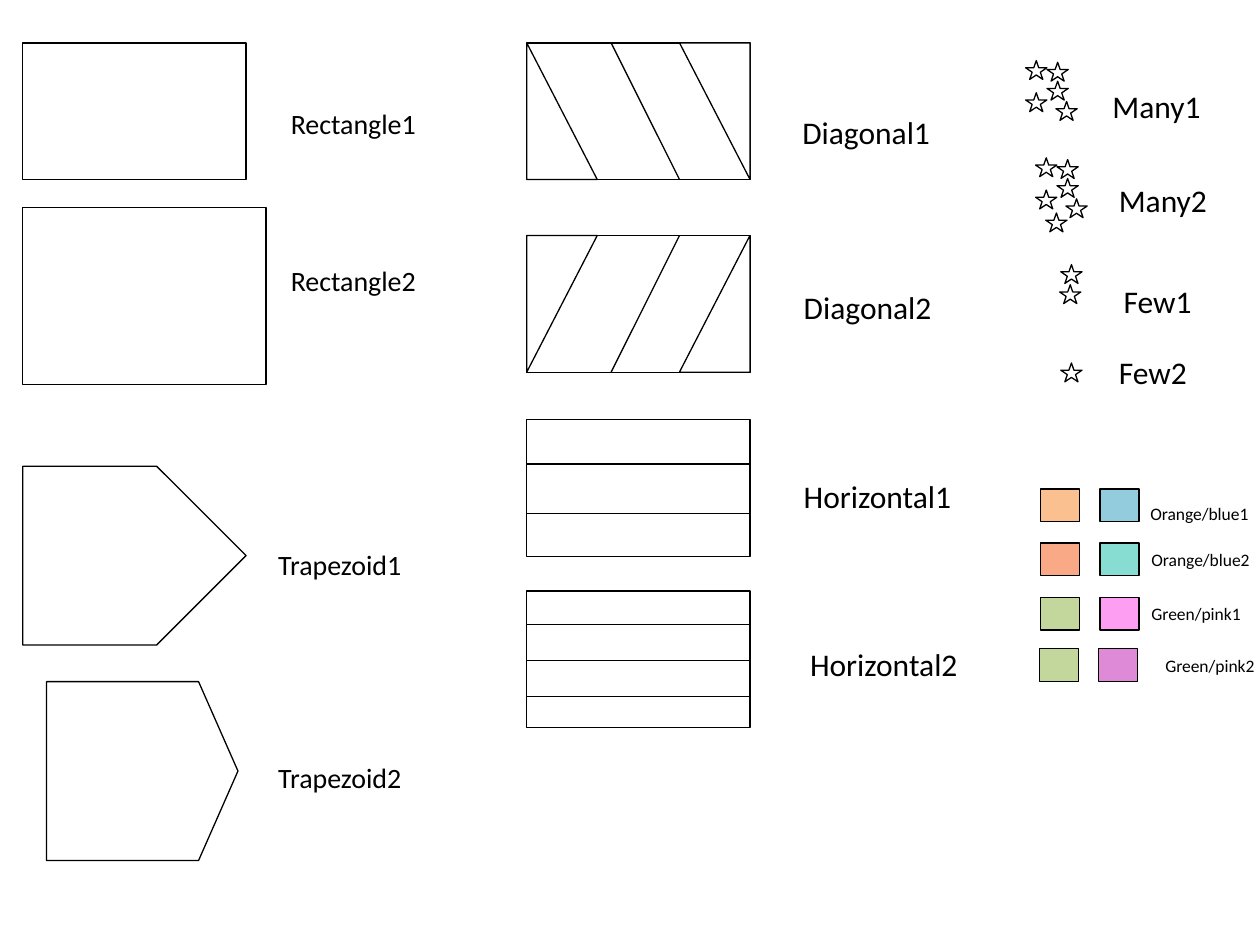
from typing import NamedTuple

from lxml.etree import SubElement
from pptx import Presentation
from pptx.dml.color import RGBColor
from pptx.enum.shapes import MSO_CONNECTOR, MSO_SHAPE
from pptx.enum.text import MSO_AUTO_SIZE
from pptx.oxml.ns import qn
from pptx.util import Pt


class Box(NamedTuple):
    left: float
    top: float
    width: float
    height: float


class Label(NamedTuple):
    text: str
    left: float
    top: float
    width: float
    size: int


class Stars(NamedTuple):
    left: float
    top: float
    spots: list[tuple[float, float]]


class Swatch(NamedTuple):
    left: float
    top: float
    colors: tuple[str, str]


deck = Presentation()
deck.slide_width, deck.slide_height = Pt(720), Pt(540)
slide = deck.slides.add_slide(deck.slide_layouts[6])


def paint(color, code: str) -> None:
    color.rgb = RGBColor.from_string(code)


def ink(line) -> None:
    line.width = Pt(0.75)
    paint(line.color, "000000")


def draw(kind, box: Box, fill: str = "FFFFFF", home=slide, turn: int = 0, flip: bool = False):
    shape = home.shapes.add_shape(kind, *map(Pt, box))
    shape.shadow.inherit = False
    shape.fill.solid()
    paint(shape.fill.fore_color, fill)
    ink(shape.line)
    shape.rotation = turn
    if flip:
        shape.element.spPr.find(qn("a:xfrm")).set("flipH", "1")
    return shape


def rule(*ends: float) -> None:
    line = slide.shapes.add_connector(MSO_CONNECTOR.STRAIGHT, *map(Pt, ends))
    ink(line.line)
    SubElement(line.element.spPr, qn("a:effectLst"))


def write(label: Label) -> None:
    high = {16: 26.6, 18: 29, 10: 19.4}[label.size]
    area = slide.shapes.add_textbox(*map(Pt, (label.left, label.top, label.width, high)))
    frame = area.text_frame
    frame.word_wrap = False
    frame.auto_size = MSO_AUTO_SIZE.SHAPE_TO_FIT_TEXT
    frame.text = label.text
    font = frame.paragraphs[0].font
    font.name, font.size = "Calibri", Pt(label.size)
    paint(font.color, "000000")


WIDE, HIGH = 127.6, 78.1
LEFT, MID = 13, 301
RIGHT = MID + WIDE
SLANT = 40.3

draw(MSO_SHAPE.RECTANGLE, Box(LEFT, 24.5, WIDE, HIGH))
draw(MSO_SHAPE.RECTANGLE, Box(LEFT, 118.8, 139, 100.8))
draw(MSO_SHAPE.PENTAGON, Box(LEFT, 266.4, WIDE, 102.2))
blunt = draw(MSO_SHAPE.PENTAGON, Box(26.6, 389.5, 109.4, 102.2))
blunt.adjustments[0] = 0.22

for top, flip in ((24.5, False), (134.6, True)):
    draw(MSO_SHAPE.RECTANGLE, Box(MID, top, WIDE, HIGH))
    near, far = (180, 0) if flip else (0, 180)
    draw(MSO_SHAPE.RIGHT_TRIANGLE, Box(MID, top, SLANT, HIGH), turn=near, flip=flip)
    draw(MSO_SHAPE.RIGHT_TRIANGLE, Box(RIGHT - SLANT, top, SLANT, HIGH), turn=far, flip=flip)
    start, end = 349.2, RIGHT - SLANT
    if flip:
        start, end = end, start
    rule(start, top, end, top + HIGH)

for top, drops in ((239.8, (25.4, 53.8)), (337.7, (19, 39.6, 60.4))):
    draw(MSO_SHAPE.RECTANGLE, Box(MID, top, WIDE, HIGH))
    for drop in drops:
        rule(MID, top + drop, RIGHT, top + drop)

MANY = [(0, 0), (12.2, 11.8), (12.2, 1), (0, 18.4), (17.3, 23.4)]
for stars in (
    Stars(586.1, 34.6, MANY),
    Stars(591.8, 90.2, MANY + [(5.8, 31.5)]),
    Stars(605.5, 151.2, [(0, 11.5), (0.7, 0)]),
    Stars(606.2, 207.4, [(0, 0)]),
):
    home = slide.shapes.add_group_shape() if len(stars.spots) > 1 else slide
    for x, y in stars.spots:
        draw(MSO_SHAPE.STAR_5_POINT, Box(stars.left + x, stars.top + y, 12.2, 10.8), home=home)

for swatch in (
    Swatch(594.7, 279.4, ("FAC090", "93CDDD")),
    Swatch(594.7, 310.3, ("FAA987", "87DDD2")),
    Swatch(594.7, 341.3, ("C3D69B", "FE9EF3")),
    Swatch(594, 370.8, ("C3D69B", "DE8AD6")),
):
    for col, fill in enumerate(swatch.colors):
        draw(MSO_SHAPE.RECTANGLE, Box(swatch.left + col * 33.9, swatch.top, 22.3, 18.7), fill)

for label in (
    Label("Rectangle1", 159.1, 57.6, 87.1, 16),
    Label("Rectangle2", 159.1, 146.9, 87.1, 16),
    Label("Trapezoid1", 151.9, 309.6, 87.8, 16),
    Label("Trapezoid2", 151.9, 431.3, 87.8, 16),
    Label("Diagonal1", 451.4, 61.2, 88.6, 18),
    Label("Diagonal2", 452.2, 161.3, 88.6, 18),
    Label("Horizontal1", 452.2, 269.3, 100.8, 18),
    Label("Horizontal2", 455.8, 365, 100.8, 18),
    Label("Many1", 628.6, 46.1, 65.5, 18),
    Label("Many2", 632.2, 100.1, 65.5, 18),
    Label("Few1", 635, 157.7, 54, 18),
    Label("Few2", 632.2, 198, 54, 18),
    Label("Orange/blue1", 650.2, 283.7, 71.3, 10),
    Label("Orange/blue2", 650.9, 310.3, 71.3, 10),
    Label("Green/pink1", 650.9, 341.3, 66.2, 10),
    Label("Green/pink2", 658.8, 370.8, 66.2, 10),
):
    write(label)

deck.save("out.pptx")
